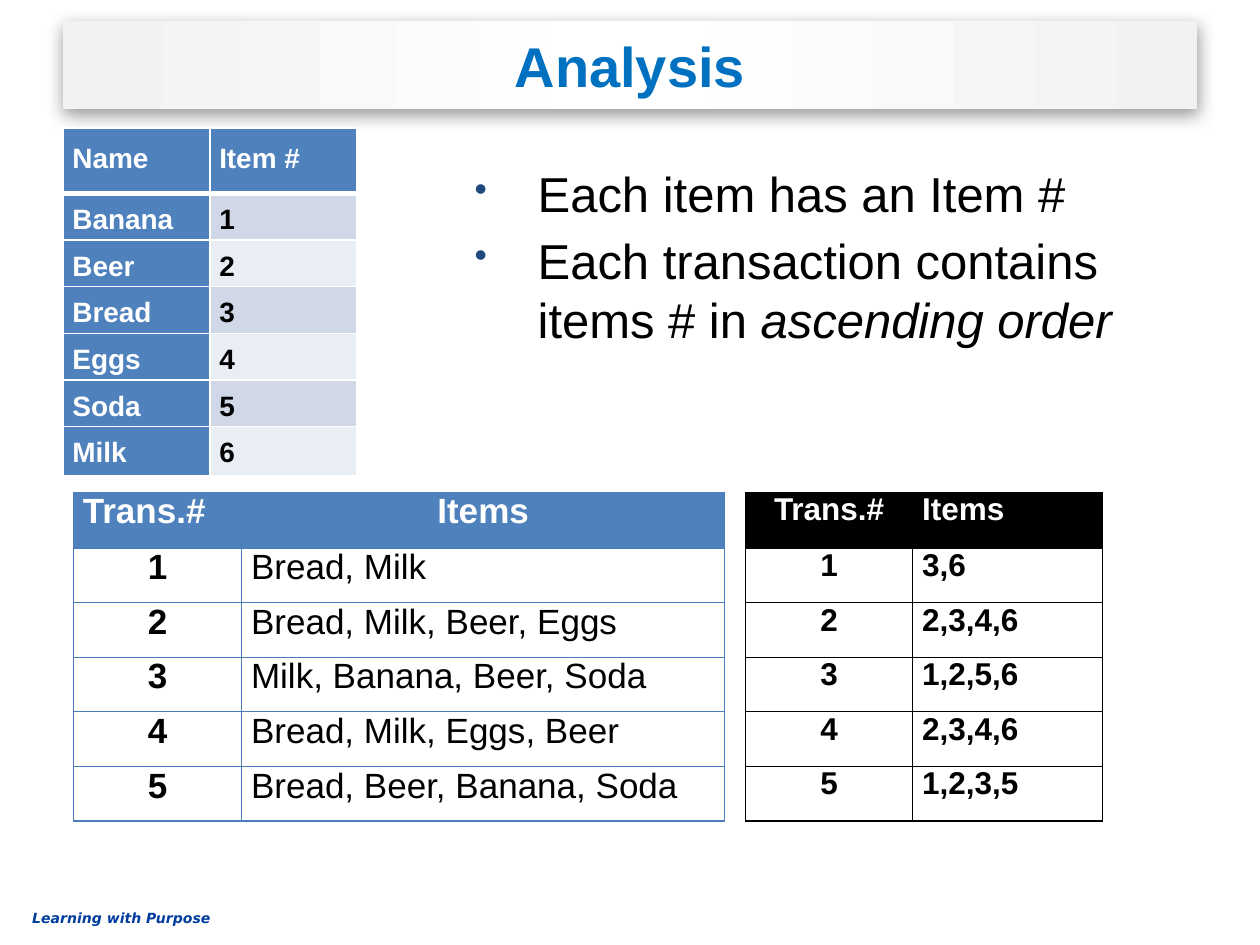
import pptx
import pptx.dml.color
import pptx.enum.shapes
import pptx.enum.text
import pptx.oxml
import pptx.oxml.ns
import pptx.util
from pptx.util import Cm, Pt

RGBColor = pptx.dml.color.RGBColor
ALIGN = pptx.enum.text.PP_ALIGN
ANCHOR = pptx.enum.text.MSO_ANCHOR

WHITE = RGBColor(0xFF, 0xFF, 0xFF)
BLACK = RGBColor(0, 0, 0)
BLUE = RGBColor(0x4F, 0x81, 0xBD)
BORDER_BLUE = RGBColor(0x4B, 0x7E, 0xBC)
BAND_DARK = RGBColor(0xD0, 0xD8, 0xE8)
BAND_LIGHT = RGBColor(0xE9, 0xED, 0xF4)
TITLE_BLUE = RGBColor(0x00, 0x70, 0xC0)
FOOTER_BLUE = RGBColor(0x00, 0x3C, 0x9E)
BULLET_BLUE = RGBColor(0x1F, 0x49, 0x7D)
SILVER = RGBColor(0xF2, 0xF2, 0xF2)

ITEMS = ["Banana", "Beer", "Bread", "Eggs", "Soda", "Milk"]
TRANSACTIONS = [
    ["Bread", "Milk"],
    ["Bread", "Milk", "Beer", "Eggs"],
    ["Milk", "Banana", "Beer", "Soda"],
    ["Bread", "Milk", "Eggs", "Beer"],
    ["Bread", "Beer", "Banana", "Soda"],
]


def append_xml(parent, markup):
    """Append an element of the drawing namespace written as markup."""
    tag_end = markup.index(" ")
    namespace = pptx.oxml.ns.nsdecls("a")
    parent.append(pptx.oxml.parse_xml(f"{markup[:tag_end]} {namespace}{markup[tag_end:]}"))


class SlideBuilder:
    font_name = "Arial"

    def __init__(self, slide):
        self.slide = slide

    def add_run(self, paragraph, text, color=BLACK, **formats):
        run = paragraph.add_run()
        run.text = text
        for name, value in {"name": self.font_name, **formats}.items():
            setattr(run.font, name, value)
        run.font.color.rgb = color

    def add_title(self, box, text):
        shape = self.slide.shapes.add_shape(
            pptx.enum.shapes.MSO_SHAPE.RECTANGLE, *map(Cm, box))
        properties = shape._element.spPr
        stops = "".join(
            f'<a:gs pos="{position * 1000}"><a:srgbClr val="{color}"/></a:gs>'
            for position, color in [(2, SILVER), (50, WHITE), (100, SILVER)])
        append_xml(properties, f'<a:gradFill rotWithShape="1"><a:gsLst>{stops}</a:gsLst>'
                               '<a:lin ang="0" scaled="0"/></a:gradFill>')
        shape.line.fill.background()
        append_xml(properties, f'<a:effectLst ><a:outerShdw blurRad="{Pt(10)}" dist="{Pt(3)}" '
                               'dir="5400000" algn="ctr" rotWithShape="0"><a:srgbClr val="000000">'
                               '<a:alpha val="40000"/></a:srgbClr></a:outerShdw></a:effectLst>')
        shape.text_frame.vertical_anchor = ANCHOR.MIDDLE
        paragraph = shape.text_frame.paragraphs[0]
        paragraph.alignment = ALIGN.CENTER
        self.add_run(paragraph, text, TITLE_BLUE, size=Pt(32), bold=True)

    def add_text(self, box):
        frame = self.slide.shapes.add_textbox(*map(Cm, box)).text_frame
        frame.word_wrap = True
        return frame

    def add_footer(self, box, text):
        paragraph = self.add_text(box).paragraphs[0]
        self.add_run(paragraph, text, FOOTER_BLUE, name="DejaVu Sans",
                     size=Pt(8), bold=True, italic=True)

    def add_bullets(self, box, bullets):
        """Each bullet is a list of (text, italic) runs."""
        frame = self.add_text(box)
        for index, runs in enumerate(bullets):
            paragraph = frame.add_paragraph() if index else frame.paragraphs[0]
            paragraph.space_before = Pt(4.5)
            properties = paragraph._p.get_or_add_pPr()
            properties.set("marL", str(Cm(2.54)))
            properties.set("indent", str(Cm(-1.27)))
            append_xml(properties, f'<a:buClr ><a:srgbClr val="{BULLET_BLUE}"/></a:buClr>')
            append_xml(properties, '<a:buSzPct val="75000"/>')
            append_xml(properties, '<a:buChar char="•"/>')
            for text, italic in runs:
                self.add_run(paragraph, text, size=Pt(28), italic=italic)

    def add_table(self, position, widths, heights, rows, style_cell):
        """style_cell(row, column) gives the look of one cell."""
        table = self.slide.shapes.add_table(
            len(rows), len(widths), *map(Cm, position),
            Cm(sum(widths)), Cm(sum(heights))).table
        table.first_row = table.horz_banding = False
        for column, width in zip(table.columns, widths):
            column.width = Cm(width)
        for row, height in zip(table.rows, heights):
            row.height = Cm(height)
        for row, texts in enumerate(rows):
            for column, text in enumerate(texts):
                self.fill_cell(table.cell(row, column), text, **style_cell(row, column))

    def fill_cell(self, cell, text, fill, border, widths, color, size, bold=True,
                  alignment=ALIGN.LEFT, line_spacing=1.0):
        """widths are the border widths in points: left, right, top, bottom."""
        margins = {"margin_left": Cm(0.19), "margin_right": Cm(0.19),
                   "margin_top": 0, "margin_bottom": 0}
        for name, value in margins.items():
            setattr(cell, name, value)
        for side, width in zip("LRTB", widths):
            append_xml(cell._tc.get_or_add_tcPr(),
                       f'<a:ln{side} w="{Pt(width)}"><a:solidFill><a:srgbClr val="{border}"/>'
                       f'</a:solidFill></a:ln{side}>')
        if fill is None:
            cell.fill.background()
        else:
            cell.fill.solid()
            cell.fill.fore_color.rgb = fill
        paragraph = cell.text_frame.paragraphs[0]
        paragraph.alignment = alignment
        paragraph.line_spacing = line_spacing
        self.add_run(paragraph, text, color, size=Pt(size), bold=bold)


def style_item_cell(row, column):
    highlighted = row == 0 or column == 0
    band = BAND_DARK if row % 2 else BAND_LIGHT
    return {
        "fill": BLUE if highlighted else band,
        "color": WHITE if highlighted else BLACK,
        "border": WHITE,
        "widths": (1, 1, 3 if row == 1 else 1, 3 if row == 0 else 1),
        "size": 16,
        "line_spacing": 1.35 if row else 1.5,
    }


def transaction_style(header_fill, border, size, bold_items, centered_header):
    """Return the cell style function of a transaction table."""
    def style_cell(row, column):
        centered = column == centered_header if row == 0 else column == 0
        return {
            "fill": None if row else header_fill,
            "color": BLACK if row else WHITE,
            "border": border,
            "widths": (0.75,) * 4,
            "size": size,
            "bold": row == 0 or column == 0 or bold_items,
            "alignment": ALIGN.CENTER if centered else ALIGN.LEFT,
        }
    return style_cell


def main():
    presentation = pptx.Presentation()
    presentation.slide_width, presentation.slide_height = Cm(25.4), Cm(19.05)
    builder = SlideBuilder(presentation.slides.add_slide(presentation.slide_layouts[6]))

    builder.add_footer((0.4, 18.22, 9.37, 0.6), "Learning with Purpose")
    builder.add_title((1.27, 0.42, 22.86, 1.78), "Analysis")

    item_numbers = {name: number for number, name in enumerate(ITEMS, 1)}
    item_rows = [("Name", "Item #")]
    item_rows += [(name, str(number)) for name, number in item_numbers.items()]
    builder.add_table((1.27, 2.58), [2.96] * 2, [1.32] + [0.94] * 5 + [0.99],
                      item_rows, style_item_cell)

    builder.add_bullets((8.05, 3.18, 15.45, 4.3), [
        [("Each item has an Item #", False)],
        [("Each transaction contains items # in ", False), ("ascending order", True)],
    ])

    header = ("Trans.#", "Items")
    number_rows, name_rows = [header], [header]
    for number, names in enumerate(TRANSACTIONS, 1):
        ordered = sorted(item_numbers[name] for name in names)
        number_rows.append((str(number), ",".join(map(str, ordered))))
        name_rows.append((str(number), ", ".join(names)))
    heights = [1.13] + [1.1] * len(TRANSACTIONS)
    builder.add_table((15.03, 9.92), [3.37, 3.83], heights, number_rows,
                      transaction_style(BLACK, BLACK, 18, True, 0))
    builder.add_table((1.48, 9.92), [3.39, 9.74], heights, name_rows,
                      transaction_style(BLUE, BORDER_BLUE, 20, False, 1))

    presentation.save("out.pptx")


if __name__ == "__main__":
    main()
